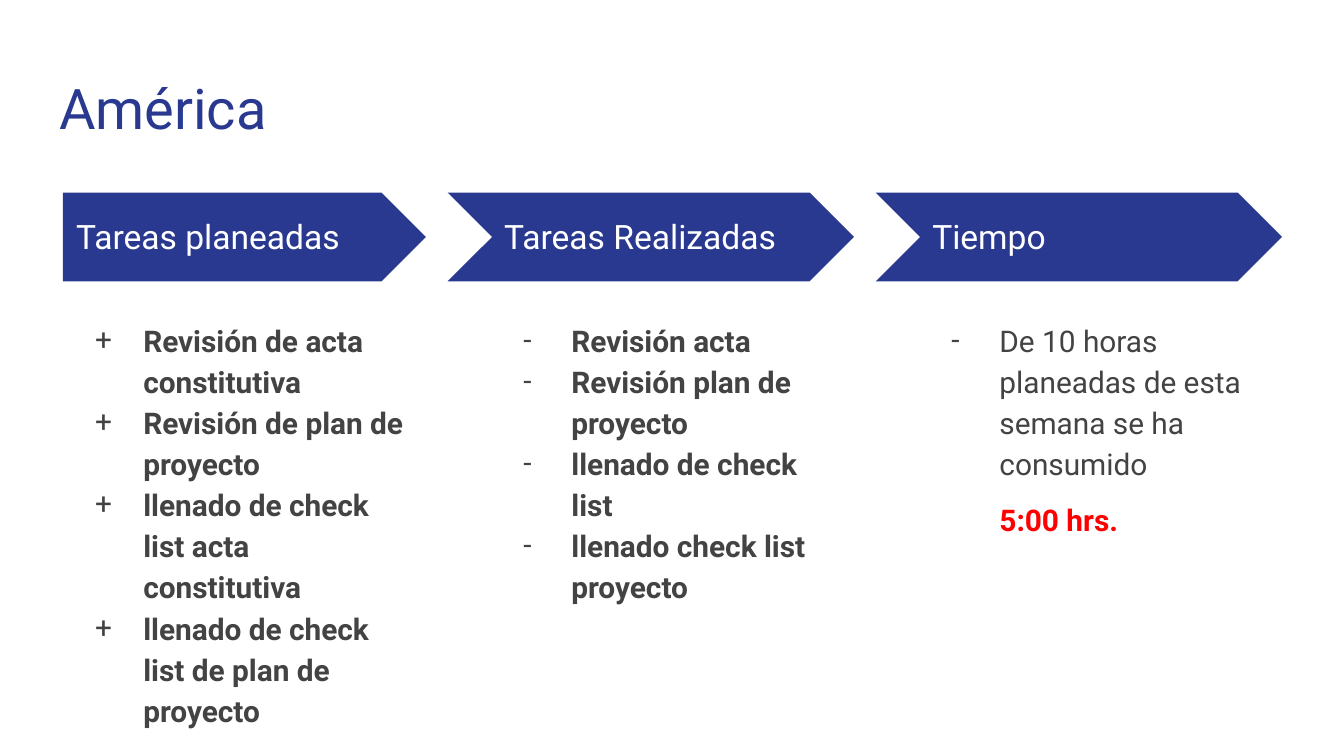
from dataclasses import dataclass

from lxml import etree
from pptx import Presentation
from pptx.dml.color import RGBColor
from pptx.enum.shapes import MSO_SHAPE
from pptx.enum.text import MSO_ANCHOR
from pptx.oxml.ns import qn
from pptx.util import Cm, Pt

PENTAGON = MSO_SHAPE.PENTAGON
CHEVRON = MSO_SHAPE.CHEVRON
TOP = MSO_ANCHOR.TOP
MIDDLE = MSO_ANCHOR.MIDDLE


@dataclass(frozen=True)
class Theme:
    font: str = "Roboto"
    blue: str = "2A3990"
    white: str = "FFFFFF"
    gray: str = "434343"
    red: str = "FF0000"
    title_size: int = 30
    heading_size: int = 18
    body_size: int = 16


def write_text(paragraph, text, *, font, size, color, bold=False):
    """Add one formatted run to a paragraph."""
    run = paragraph.add_run()
    run.text = text
    run.font.name = font
    run.font.size = Pt(size)
    run.font.bold = bold
    run.font.color.rgb = RGBColor.from_string(color)


class SlideBuilder:
    def __init__(self, slide, theme):
        self.slide = slide
        self.theme = theme

    def text_frame(self, left, top, width, height, anchor=TOP):
        box = self.slide.shapes.add_textbox(Cm(left), Cm(top), Cm(width), Cm(height))
        frame = box.text_frame
        frame.word_wrap = True
        frame.vertical_anchor = anchor
        frame.margin_left = frame.margin_right = Cm(0.25)
        frame.margin_top = frame.margin_bottom = Cm(0.25)
        return frame

    def line(self, text, left, top, width, height, size, color, anchor=TOP):
        frame = self.text_frame(left, top, width, height, anchor)
        write_text(frame.paragraphs[0], text, font=self.theme.font, size=size, color=color)

    def arrow(self, kind, left, top, width, height):
        arrow = self.slide.shapes.add_shape(kind, Cm(left), Cm(top), Cm(width), Cm(height))
        arrow.adjustments[0] = 0.5
        arrow.shadow.inherit = False
        arrow.fill.solid()
        arrow.fill.fore_color.rgb = RGBColor.from_string(self.theme.blue)
        arrow.line.fill.background()

    def bullet(self, paragraph, mark):
        properties = paragraph._p.get_or_add_pPr()
        properties.set("indent", str(Cm(-0.91)))
        color = etree.SubElement(properties, qn("a:buClr"))
        etree.SubElement(color, qn("a:srgbClr"), val=self.theme.gray)
        etree.SubElement(properties, qn("a:buSzPts"), val=str(self.theme.body_size * 100))
        etree.SubElement(properties, qn("a:buFont"), typeface=self.theme.font)
        etree.SubElement(properties, qn("a:buChar"), char=mark)

    def task_list(self, tasks, mark, bold, total, left, top, width, height):
        theme = self.theme
        frame = self.text_frame(left, top, width, height)
        for index, text in enumerate(tasks + total):
            paragraph = frame.paragraphs[0] if index == 0 else frame.add_paragraph()
            paragraph.line_spacing = 1.15
            paragraph._p.get_or_add_pPr().set("marL", str(Cm(1.27)))
            is_total = index >= len(tasks)
            if is_total:
                paragraph.space_before = paragraph.space_after = Pt(8)
            else:
                self.bullet(paragraph, mark)
            write_text(paragraph, text, font=theme.font, size=theme.body_size,
                       color=theme.red if is_total else theme.gray,
                       bold=bold or is_total)


# Content: heading, bullet mark, bold, tasks, total
COLUMNS = [
    ("Tareas planeadas", "+", True,
     ["Revisión de acta constitutiva", "Revisión de plan de proyecto",
      "llenado de check list acta constitutiva",
      "llenado de check list de plan de proyecto"], []),
    ("Tareas Realizadas", "-", True,
     ["Revisión acta", "Revisión plan de proyecto",
      "llenado de check list", "llenado check list proyecto"], []),
    ("Tiempo", "-", False,
     ["De 10 horas planeadas de esta semana se ha consumido"], ["5:00 hrs."]),
]

# Column grid, in centimetres
FIRST_LEFT = 1.19
COLUMN_STEP = 8.09
COLUMN_WIDTH = 6.86
CHEVRON_NOTCH = 0.82


def main():
    presentation = Presentation()
    presentation.slide_width = Cm(25.4)
    presentation.slide_height = Cm(14.29)
    theme = Theme()
    builder = SlideBuilder(presentation.slides.add_slide(presentation.slide_layouts[6]), theme)

    # Title
    builder.line("América", 0.87, 1.14, 23.67, 1.68, theme.title_size, theme.blue)

    # Columns: arrow, heading and task list
    for index, (heading, mark, bold, tasks, total) in enumerate(COLUMNS):
        left = FIRST_LEFT + index * COLUMN_STEP
        kind, notch = (CHEVRON, CHEVRON_NOTCH) if index else (PENTAGON, 0)
        builder.arrow(kind, left - notch, 3.64, COLUMN_WIDTH + notch, 1.68)
        builder.line(heading, left, 4.04, 6.27, 0.86, theme.heading_size, theme.white, MIDDLE)
        builder.task_list(tasks, mark, bold, total, left, 5.74, COLUMN_WIDTH, 7.5)

    presentation.save("out.pptx")


if __name__ == "__main__":
    main()
